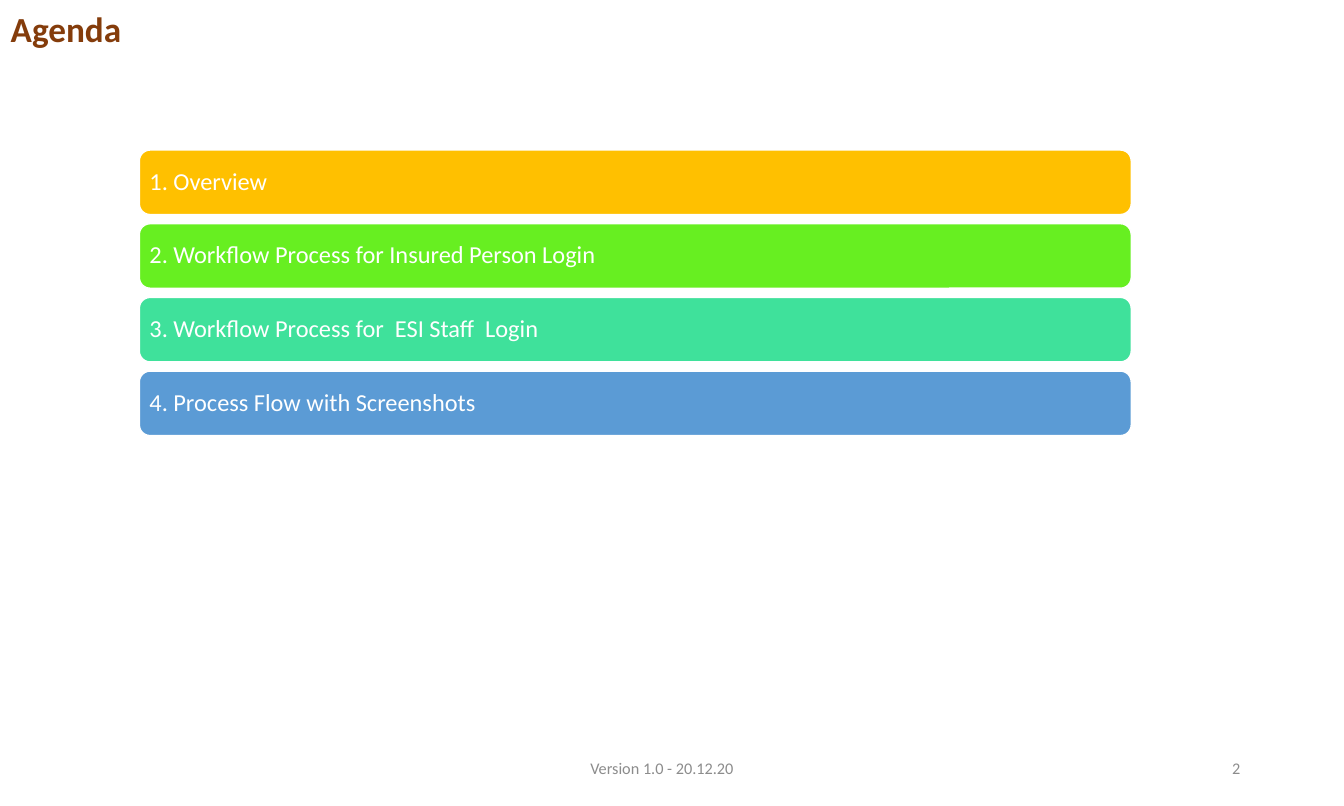
from pptx import Presentation, util as u
from pptx.dml.color import RGBColor
from pptx.enum import shapes, text

COLOURS = {
    "white": "FFFFFF",
    "title": "843C0B",
    "footer": "8C8C8C",
    "amber": "FFC000",
    "green": "67EF21",
    "mint": "3FE19B",
    "blue": "5B9BD5",
}
AGENDA = [
    ("1. Overview", "amber"),
    ("2. Workflow Process for Insured Person Login", "green"),
    ("3. Workflow Process for  ESI Staff  Login", "mint"),
    ("4. Process Flow with Screenshots", "blue"),
]
BAR_LEFT, BAR_TOP, BAR_WIDTH, BAR_HEIGHT = 3.63, 3.91, 25.83, 1.68
BAR_STEP = 1.92
FOOTER_TOP, FOOTER_HEIGHT = 19.46, 1.12


class AgendaPage:
    font = "Calibri"

    def __init__(self, page):
        self.page = page

    def colour(self, name):
        return RGBColor.from_string(COLOURS[name])

    def set_words(self, shape, words, size, colour, align, insets, bold=False, spacing=1.0):
        """Fill a shape with one paragraph; insets are (side, top and bottom) in cm."""
        frame = shape.text_frame
        frame.word_wrap = True
        frame.vertical_anchor = text.MSO_ANCHOR.MIDDLE
        frame.margin_left = frame.margin_right = u.Cm(insets[0])
        frame.margin_top = frame.margin_bottom = u.Cm(insets[1])
        para = frame.paragraphs[0]
        para.alignment = align
        para.line_spacing = spacing
        span = para.add_run()
        span.text = words
        span.font.name = self.font
        span.font.size = u.Pt(size)
        span.font.bold = bold
        span.font.color.rgb = self.colour(colour)

    def label(self, words, place, size, colour, align=text.PP_ALIGN.LEFT, **style):
        box = self.page.shapes.add_textbox(*map(u.Cm, place))
        self.set_words(box, words, size, colour, align, (0.28, 0.13), **style)

    def bar(self, words, place, fill):
        bar = self.page.shapes.add_shape(
            shapes.MSO_SHAPE.ROUNDED_RECTANGLE, *map(u.Cm, place))
        bar.shadow.inherit = False
        bar.fill.solid()
        bar.fill.fore_color.rgb = self.colour(fill)
        bar.line.color.rgb = self.colour("white")
        bar.line.width = u.Pt(1)
        self.set_words(bar, words, 18, "white", text.PP_ALIGN.LEFT, (0.18, 0.18), spacing=0.9)


def main():
    deck = Presentation()
    deck.slide_width, deck.slide_height = u.Cm(35), u.Cm(21)
    agenda = AgendaPage(deck.slides.add_slide(deck.slide_layouts[6]))

    agenda.label("Agenda", (0, 0, 31.22, 1.6), 26, "title", bold=True, spacing=0.9)
    for index, (words, fill) in enumerate(AGENDA):
        top = BAR_TOP + index * BAR_STEP
        agenda.bar(words, (BAR_LEFT, top, BAR_WIDTH, BAR_HEIGHT), fill)

    agenda.label("Version 1.0 - 20.12.20", (0.69, FOOTER_TOP, 33.1, FOOTER_HEIGHT),
                 12, "footer", text.PP_ALIGN.CENTER)
    agenda.label("2", (24.71, FOOTER_TOP, 7.87, FOOTER_HEIGHT),
                 12, "footer", text.PP_ALIGN.RIGHT)
    deck.save("out.pptx")


if __name__ == "__main__":
    main()
